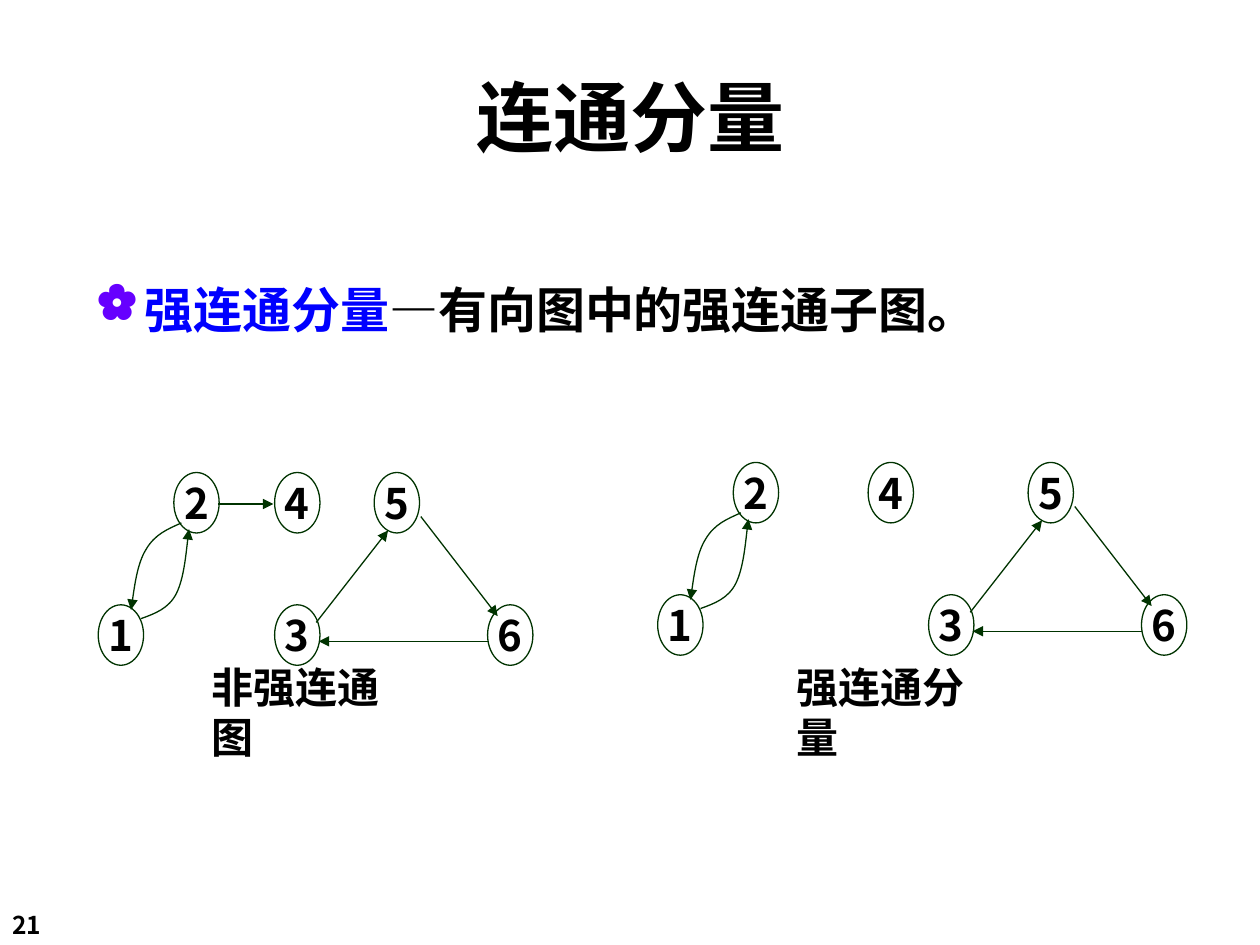
"""Build the slide on strongly connected components of a directed graph."""
from lxml import etree
from pptx import Presentation
from pptx.dml.color import RGBColor
from pptx.enum.shapes import MSO_CONNECTOR, MSO_SHAPE
from pptx.enum.text import MSO_ANCHOR, PP_ALIGN
from pptx.oxml.ns import qn
from pptx.util import Inches, Pt

STRAIGHT, OVAL = MSO_CONNECTOR.STRAIGHT, MSO_SHAPE.OVAL
MIDDLE, CENTER = MSO_ANCHOR.MIDDLE, PP_ALIGN.CENTER
BLACK = RGBColor(0, 0, 0)
BLUE = RGBColor(0, 0, 0xFF)
PURPLE = RGBColor(0x66, 0, 0xFF)
GREEN = RGBColor(0, 0x33, 0)
FONT = "Noto Sans CJK SC"
NODE_W, NODE_H = 0.36, 0.48
TOP, BOTTOM = 3.75, 4.8


def format_run(r, size, color=BLACK):
    """Apply the bold slide font to a run."""
    r.font.name, r.font.size, r.font.bold = FONT, Pt(size), True
    r.font.color.rgb = color
    etree.SubElement(r.font._element, qn("a:ea"), typeface=FONT)


def style_line(sp, arrow=False):
    """Draw a thin green outline, with an arrowhead at its end if asked."""
    sp.line.color.rgb = GREEN
    sp.line.width = Pt(0.75)
    if arrow:
        ln = sp.line._get_or_add_ln()
        etree.SubElement(ln, qn("a:tailEnd"), type="triangle")


def set_title(s, text):
    """Fill and place the title placeholder."""
    sp = s.shapes.title
    sp.left, sp.top, sp.width, sp.height = map(Inches, (0.42, 0.42, 9.17, 1))
    tf = sp.text_frame
    tf.text = text
    tf.vertical_anchor = MIDDLE
    p = tf.paragraphs[0]
    p.alignment = CENTER
    format_run(p.runs[0], 44)


def add_text(s, x, y, w, h, parts, size, wrap=False):
    """Add a one-paragraph text box of (text, colour) parts."""
    tf = s.shapes.add_textbox(*map(Inches, (x, y, w, h))).text_frame
    tf.word_wrap = wrap
    p = tf.paragraphs[0]
    for text, color in parts:
        r = p.add_run()
        r.text = text
        format_run(r, size, color)
    return p


def add_bullet(p, char, color):
    """Give a paragraph a coloured bullet and a hanging indent."""
    pPr = p._p.get_or_add_pPr()
    pPr.set("marL", str(Inches(0.38)))
    pPr.set("indent", str(-Inches(0.38)))
    clr = etree.SubElement(pPr, qn("a:buClr"))
    etree.SubElement(clr, qn("a:srgbClr"), val=str(color))
    etree.SubElement(pPr, qn("a:buChar"), char=char)


def add_node(s, label, x, y):
    """Add a numbered graph node."""
    sp = s.shapes.add_shape(OVAL, *map(Inches, (x, y, NODE_W, NODE_H)))
    sp.shadow.inherit = False
    sp.fill.background()
    style_line(sp)
    tf = sp.text_frame
    tf.text = label
    tf.word_wrap = False
    tf.vertical_anchor = MIDDLE
    p = tf.paragraphs[0]
    p.alignment = CENTER
    format_run(p.runs[0], 24)


def add_edge(s, x1, y1, x2, y2):
    """Add a straight arrow."""
    cxn = s.shapes.add_connector(STRAIGHT, *map(Inches, (x1, y1, x2, y2)))
    style_line(cxn, arrow=True)
    etree.SubElement(cxn._element.spPr, qn("a:effectLst"))


def add_curve(s, points):
    """Add a curved arrow from a start point and triples of Bezier points."""
    start, *rest = [(Inches(x), Inches(y)) for x, y in points]
    builder = s.shapes.build_freeform(*start)
    builder.add_line_segments(rest, close=False)
    sp = builder.convert_to_shape()
    sp.shadow.inherit = False
    sp.fill.background()
    style_line(sp, arrow=True)
    path = sp._element.spPr.find(".//" + qn("a:path"))
    segments = path.findall(qn("a:lnTo"))
    for i in range(0, len(segments), 3):
        bezier = etree.SubElement(path, qn("a:cubicBezTo"))
        for segment in segments[i:i + 3]:
            bezier.append(segment[0])
            path.remove(segment)


def add_cycle_pair(s, dx=0, dy=0):
    """Add nodes 1 and 2 with an arc each way."""
    add_node(s, "2", 1.38 + dx, TOP + dy)
    add_node(s, "1", 0.78 + dx, BOTTOM + dy)
    arcs = (
        [(1.44, 4.15), (1.33, 4.2), (1.23, 4.24), (1.16, 4.36),
         (1.09, 4.47), (1.05, 4.77), (1.04, 4.84)],
        [(1.12, 4.91), (1.23, 4.87), (1.34, 4.83), (1.4, 4.71),
         (1.46, 4.59), (1.49, 4.27), (1.5, 4.2)],
    )
    for arc in arcs:
        add_curve(s, [(x + dx, y + dy) for x, y in arc])


def add_triangle(s, dx=0, dy=0):
    """Add nodes 3, 5 and 6 joined in a directed cycle."""
    for label, x, y in (("5", 2.97, TOP), ("3", 2.18, BOTTOM), ("6", 3.87, BOTTOM)):
        add_node(s, label, x + dx, y + dy)
    for x1, y1, x2, y2 in ((3.87, 5.09, 2.53, 5.09),
                           (2.51, 4.94, 3.08, 4.21),
                           (3.34, 4.1, 3.95, 4.89)):
        add_edge(s, x1 + dx, y1 + dy, x2 + dx, y2 + dy)


def main():
    """Build and save the slide."""
    prs = Presentation()
    prs.slide_width, prs.slide_height = Inches(10), Inches(7.5)
    s = prs.slides.add_slide(prs.slide_layouts[5])
    set_title(s, "连通分量")
    definition = [("强连通分量", BLUE), ("—有向图中的强连通子图。", BLACK)]
    p = add_text(s, 0.67, 2.17, 8.67, 1.08, definition, 28, wrap=True)
    add_bullet(p, "✿", PURPLE)

    add_cycle_pair(s)
    add_triangle(s)
    add_node(s, "4", 2.18, TOP)
    add_edge(s, 1.73, 4, 2.17, 4)

    rise = -0.08
    add_cycle_pair(s, 4.44, rise)
    add_triangle(s, 5.19, rise)
    add_node(s, "4", 6.89, TOP + rise)

    for text, x in (("非强连通图", 1.58), ("强连通分量", 6.22)):
        add_text(s, x, 5.2, 1.86, 0.5, [(text, BLACK)], 24)
    add_text(s, 0, 7.17, 0.83, 0.34, [("21", BLACK)], 14, wrap=True)
    prs.save("out.pptx")


if __name__ == "__main__":
    main()
